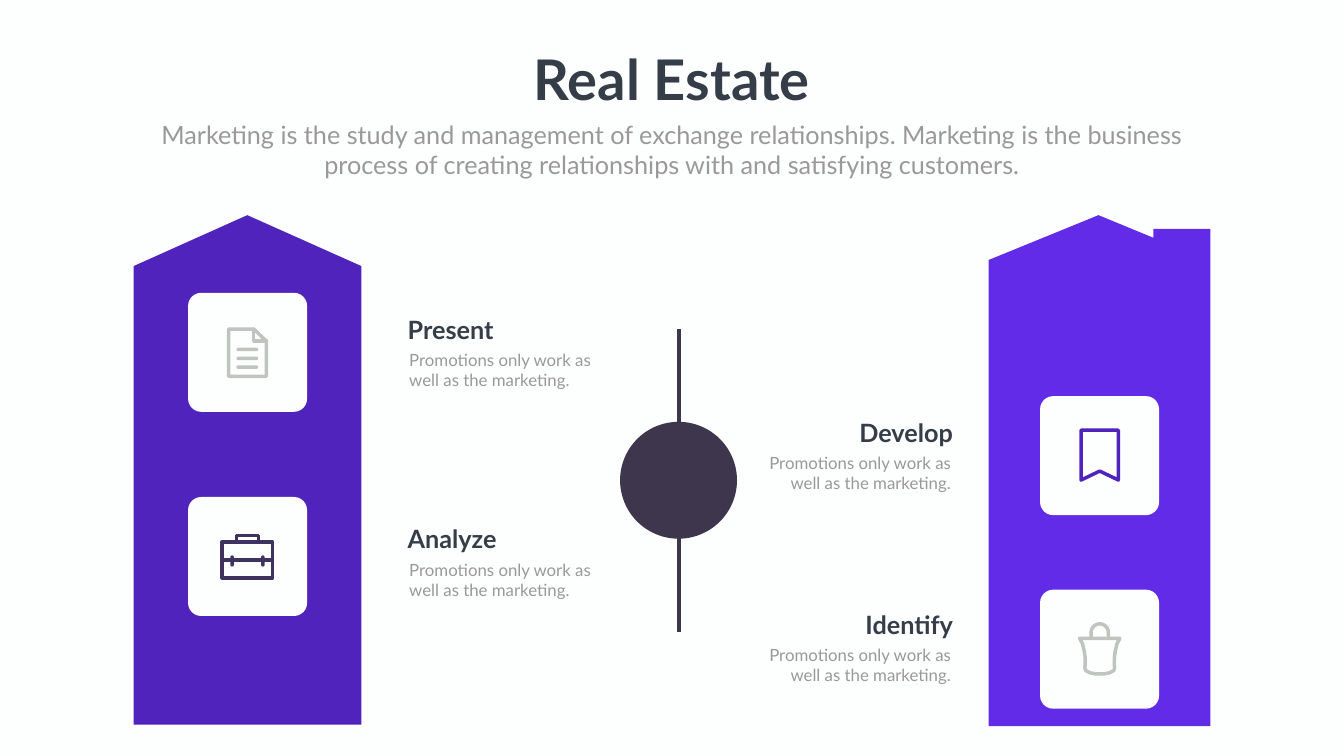
"""Builds the Real Estate slide: two houses, four icon cards and their captions."""
import math

import pptx
import pptx.dml.color
import pptx.enum.shapes
import pptx.enum.text
import pptx.oxml
import pptx.oxml.ns
import pptx.util

Pt = pptx.util.Pt
RGB = pptx.dml.color.RGBColor.from_string
SHAPE = pptx.enum.shapes.MSO_SHAPE
ALIGN = pptx.enum.text.PP_ALIGN

COLORS = {
    "paper": "FDFFFE", "ink": "353D49", "gray": "9A989A", "axis": "3E364C",
    "left_house": "5023BC", "right_house": "612BE8",
    "pale_icon": "BFC4BF", "violet_icon": "5023BC", "dark_icon": "403260",
}
STYLES = {
    "title": {"size": Pt(80), "bold": True, "name": "Lato"},
    "subtitle": {"size": Pt(36), "bold": False, "name": "Lato"},
    "heading": {"size": Pt(36), "bold": True, "name": "Lato"},
    "body": {"size": Pt(24), "bold": False, "name": "Lato"},
}
FRAME = {
    "word_wrap": True,
    "auto_size": pptx.enum.text.MSO_AUTO_SIZE.NONE,
    "vertical_anchor": pptx.enum.text.MSO_ANCHOR.TOP,
}
STROKE = 5

deck = pptx.Presentation()
deck.slide_width, deck.slide_height = Pt(1919.52), Pt(1080)
slide = deck.slides.add_slide(deck.slide_layouts[5])
slide.background.fill.solid()
slide.background.fill.fore_color.rgb = RGB(COLORS["paper"])


def write(box, text, style, color, align):
    for key, value in FRAME.items():
        setattr(box.text_frame, key, value)
    paragraph = box.text_frame.paragraphs[0]
    paragraph.alignment = align
    run = paragraph.add_run()
    run.text = text
    for key, value in STYLES[style].items():
        setattr(run.font, key, value)
    run.font.color.rgb = RGB(COLORS[color])


def draw(points, color, filled=False, close=True):
    corners = [(Pt(x), Pt(y)) for x, y in points]
    builder = slide.shapes.build_freeform(*corners[0], scale=1.0)
    builder.add_line_segments(corners[1:], close=close)
    outline = builder.convert_to_shape()
    outline.shadow.inherit = False
    if filled:
        outline.fill.solid()
        outline.fill.fore_color.rgb = RGB(COLORS[color])
        outline.line.fill.background()
        return
    outline.fill.background()
    outline.line.color.rgb = RGB(COLORS[color])
    outline.line.width = Pt(STROKE)
    ln = outline.element.spPr.find(pptx.oxml.ns.qn("a:ln"))
    ln.set("cap", "rnd")
    ln.append(pptx.oxml.parse_xml(f"<a:round {pptx.oxml.ns.nsdecls('a')}/>"))


title = slide.shapes.title
title.left, title.top, title.width, title.height = Pt(750), Pt(60), Pt(419), Pt(104)
write(title, "Real Estate", "title", "ink", ALIGN.CENTER)
title.text_frame.word_wrap = False
subtitle = slide.shapes.add_textbox(Pt(210), Pt(167), Pt(1499), Pt(94))
write(subtitle, "Marketing is the study and management of exchange relationships. "
      "Marketing is the business process of creating relationships with and "
      "satisfying customers.", "subtitle", "gray", ALIGN.CENTER)

draw([(1411.9, 371.5), (1568.9, 307.4), (1647.4, 339.8), (1647.4, 326.9),
      (1728.7, 326.9), (1728.7, 1037.5), (1411.9, 1037.5)], "right_house", filled=True)
draw([(190.8, 380.2), (353.2, 307.4), (516.2, 380.2), (516.2, 1035.4),
      (190.8, 1035.4)], "left_house", filled=True)

CARD = 170
left_card, right_card = 268.6, 1485.4
solids = [
    (SHAPE.ROUNDED_RECTANGLE, x, y, CARD, CARD, 0.11, "paper")
    for x, y in [(left_card, 418.3), (left_card, 710), (right_card, 565.9), (right_card, 842.4)]
]
solids += [
    (SHAPE.ROUNDED_RECTANGLE, 337.7, 496.8 + 12.6 * row, 31, STROKE, 0.5, "pale_icon")
    for row in range(3)
]
solids += [
    (SHAPE.ROUNDED_RECTANGLE, x, 793.4, STROKE, 16, 0.5, "dark_icon") for x in (329, 373)
]
solids.append((SHAPE.OVAL, 885.6, 602.6, 167, 167, None, "axis"))
for kind, x, y, width, height, rounding, color in solids:
    solid = slide.shapes.add_shape(kind, Pt(x), Pt(y), Pt(width), Pt(height))
    solid.shadow.inherit = False
    solid.fill.solid()
    solid.fill.fore_color.rgb = RGB(COLORS[color])
    solid.line.fill.background()
    if rounding:
        solid.adjustments[0] = rounding

draw([(326.5, 470), (362.3, 470), (380.5, 487.2), (380.5, 537.5), (326.5, 537.5)], "pale_icon")
draw([(362.3, 470), (362.3, 487.2), (380.5, 487.2)], "pale_icon", close=False)

draw([(317.2, 774.4), (389.2, 774.4), (389.2, 825.5), (317.2, 825.5)], "dark_icon")
draw([(338, 774.4), (338, 765), (369, 765), (369, 774.4)], "dark_icon", close=False)
draw([(317.2, 800), (389.2, 800)], "dark_icon", close=False)

draw([(1544, 614.5), (1597.3, 614.5), (1597.3, 685.8), (1570.7, 673),
      (1544, 685.8)], "violet_icon")

bag_center, bag_rim = 1570.7, 912
bag_side = [(28.6, bag_rim), (24.5, 920), (22.2, 930), (20.9, 939), (20.7, 947),
            (21.2, 954), (20, 958), (14, 961.2), (6, 962.8)]
draw([(bag_center + dx, y) for dx, y in bag_side]
     + [(bag_center - dx, y) for dx, y in reversed(bag_side)], "pale_icon")
handle_arc = [(bag_center - 12.3 * math.cos(math.radians(angle)),
               903.6 - 12.3 * math.sin(math.radians(angle))) for angle in range(0, 181, 10)]
draw([(bag_center - 12.3, bag_rim), *handle_arc, (bag_center + 12.3, bag_rim)],
     "pale_icon", close=False)

axis = slide.shapes.add_connector(
    pptx.enum.shapes.MSO_CONNECTOR.STRAIGHT, Pt(969.5), Pt(470.2), Pt(969.5), Pt(902.9))
axis.line.color.rgb = RGB(COLORS["axis"])
axis.line.width = Pt(5.4)
axis.element.spPr.append(pptx.oxml.parse_xml(f"<a:effectLst {pptx.oxml.ns.nsdecls('a')}/>"))

captions = [
    ("Present", 575.3, 577.4, 445, ALIGN.LEFT),
    ("Analyze", 575.3, 577.4, 744.5, ALIGN.LEFT),
    ("Develop", 1180.1, 1075.7, 592.6, ALIGN.RIGHT),
    ("Identify", 1180.1, 1075.7, 866.9, ALIGN.RIGHT),
]
for heading, heading_left, body_left, top, align in captions:
    heading_box = slide.shapes.add_textbox(Pt(heading_left), Pt(top), Pt(188), Pt(51))
    write(heading_box, heading, "heading", "ink", align)
    body_box = slide.shapes.add_textbox(Pt(body_left), Pt(top + 51), Pt(289.4), Pt(65.5))
    write(body_box, "Promotions only work as well as the marketing.", "body", "gray", align)

deck.save("out.pptx")
